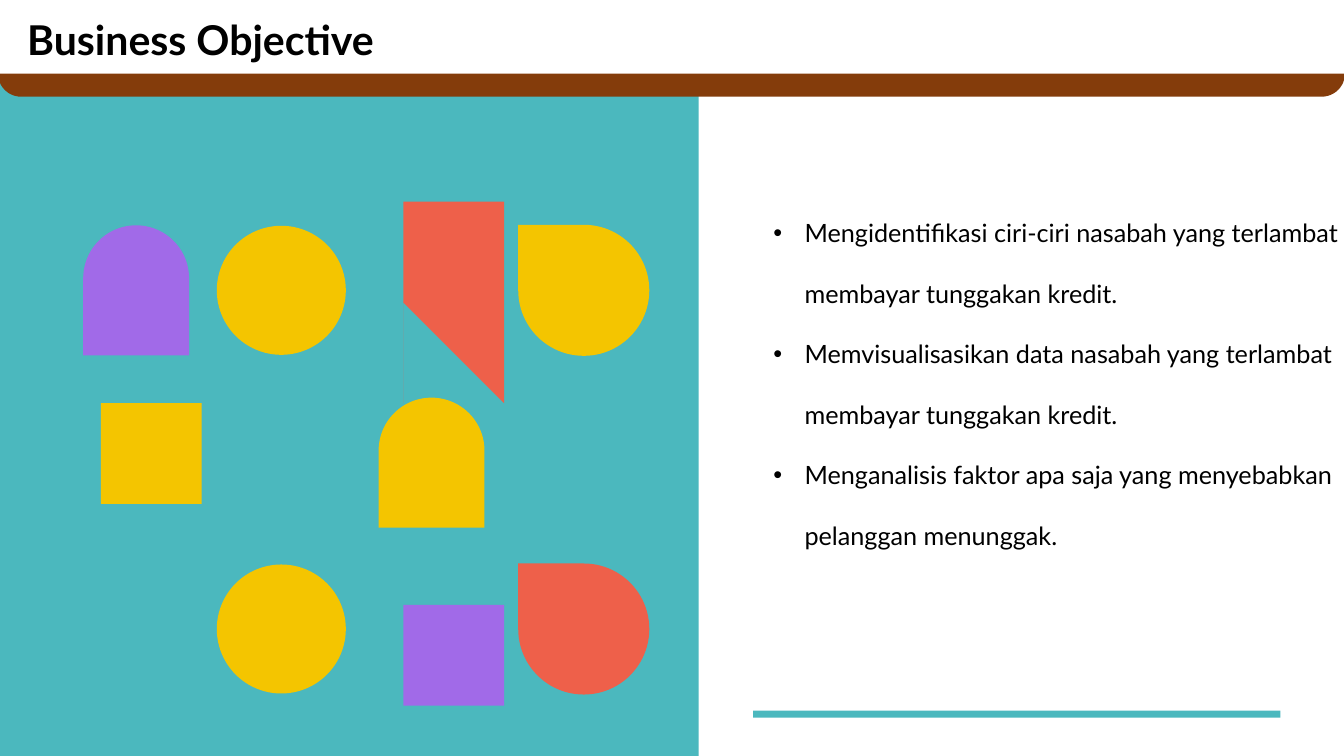
import pptx
import pptx.dml.color
import pptx.enum.shapes
import pptx.enum.text
import pptx.oxml
import pptx.oxml.ns
import pptx.util
from pptx.util import Inches

PRESET = pptx.enum.shapes.MSO_SHAPE
COLORS = {
    "teal": "4BB8BE",
    "purple": "A16AE8",
    "yellow": "F4C500",
    "coral": "EE604A",
    "brown": "843C0B",
    "white": "FFFFFF",
    "black": "000000",
}
FONT = "Lato"
COLUMN_CENTERS = (1.35, 2.79, 4.28, 5.79)
ROW_CENTERS = (2.88, 4.59, 6.24)
# row, column, kind, color
TILES = (
    (0, 0, "arch", "purple"),
    (0, 1, "circle", "yellow"),
    (0, 2, "ribbon", "coral"),
    (0, 3, "drop", "yellow"),
    (1, 0, "ribbon", "yellow"),
    (1, 2, "arch", "yellow"),
    (2, 1, "circle", "yellow"),
    (2, 2, "ribbon", "purple"),
    (2, 3, "drop", "coral"),
)
# preset, width, height, rotation
TILE_PRESETS = {
    "arch": (PRESET.ROUND_2_SAME_RECTANGLE, 1.05, 1.29, 0),
    "circle": (PRESET.OVAL, 1.28, 1.28, 0),
    "drop": (PRESET.TEAR, 1.3, 1.3, 270),
}
OBJECTIVES = (
    "Mengidentifikasi ciri-ciri nasabah yang terlambat membayar tunggakan kredit.",
    "Memvisualisasikan data nasabah yang terlambat membayar tunggakan kredit.",
    "Menganalisis faktor apa saja yang menyebabkan pelanggan menunggak.",
)


def rgb(color):
    return pptx.dml.color.RGBColor.from_string(COLORS[color])


def paint(shape, color):
    shape.shadow.inherit = False
    shape.fill.solid()
    shape.fill.fore_color.rgb = rgb(color)
    shape.line.fill.background()


def add_preset(slide, preset, left, top, width, height, color):
    shape = slide.shapes.add_shape(
        preset, Inches(left), Inches(top), Inches(width), Inches(height))
    paint(shape, color)
    return shape


def add_ribbon(slide, center_x, center_y, color):
    """Add a banner with a notch cut into its lower edge."""
    left, right = center_x - 0.58, center_x + 0.58
    top, bottom = center_y - 0.64, center_y + 0.64
    builder = slide.shapes.build_freeform(left, top, scale=Inches(1))
    builder.add_line_segments(
        [(right, top), (right, bottom), (center_x, bottom - 0.2), (left, bottom)])
    paint(builder.convert_to_shape(), color)


def add_tile(slide, row, column, kind, color):
    center_x, center_y = COLUMN_CENTERS[column], ROW_CENTERS[row]
    if kind == "ribbon":
        add_ribbon(slide, center_x, center_y, color)
        return
    preset, width, height, rotation = TILE_PRESETS[kind]
    shape = add_preset(slide, preset, center_x - width / 2,
                       center_y - height / 2, width, height, color)
    shape.rotation = rotation
    if kind == "arch":
        shape.adjustments[0] = 0.5


def prepare_frame(text_frame):
    text_frame.word_wrap = True
    text_frame.auto_size = pptx.enum.text.MSO_AUTO_SIZE.SHAPE_TO_FIT_TEXT
    text_frame.vertical_anchor = pptx.enum.text.MSO_ANCHOR.TOP
    text_frame.margin_left = text_frame.margin_right = 0
    text_frame.margin_top = text_frame.margin_bottom = 0


def format_paragraph(paragraph, size, bold=False):
    paragraph.alignment = pptx.enum.text.PP_ALIGN.LEFT
    for run in paragraph.runs:
        run.font.name = FONT
        run.font.size = pptx.util.Pt(size)
        run.font.bold = bold
        run.font.color.rgb = rgb("black")


def add_bullet(paragraph):
    properties = paragraph._p.get_or_add_pPr()
    properties.set("marL", str(Inches(0.51)))
    properties.set("indent", str(Inches(-0.31)))
    namespace = pptx.oxml.ns.nsdecls("a")
    for xml in (
        f'<a:buClr {namespace}><a:srgbClr val="{COLORS["black"]}"/></a:buClr>',
        f'<a:buFont {namespace} typeface="Arial"/>',
        f'<a:buChar {namespace} char="•"/>',
    ):
        properties.append(pptx.oxml.parse_xml(xml))


def add_objectives(slide):
    text_box = slide.shapes.add_textbox(
        Inches(7.47), Inches(1.86), Inches(5.99), Inches(3.64))
    text_frame = text_box.text_frame
    prepare_frame(text_frame)
    text_frame.text = "\n".join(OBJECTIVES)
    for paragraph in text_frame.paragraphs:
        paragraph.level = 1
        paragraph.line_spacing = 2.0
        format_paragraph(paragraph, 18)
        add_bullet(paragraph)


def add_header(slide):
    for height, color, rounding in ((0.96, "brown", 0.24), (0.73, "white", 0)):
        band = add_preset(slide, PRESET.ROUNDED_RECTANGLE,
                          -0.02, 0, 13.36, height, color)
        band.adjustments[0] = rounding


def set_title(slide, text):
    """Fill the title placeholder and bring it in front of the header."""
    title = slide.shapes.title
    title.left, title.top = Inches(0.27), Inches(0.14)
    title.width, title.height = Inches(10.83), Inches(0.49)
    prepare_frame(title.text_frame)
    title.text_frame.text = text
    format_paragraph(title.text_frame.paragraphs[0], 29.3, bold=True)
    slide.shapes._spTree.append(title._element)


def main():
    presentation = pptx.Presentation()
    presentation.slide_width = Inches(13.33)
    presentation.slide_height = Inches(7.5)
    slide = presentation.slides.add_slide(presentation.slide_layouts[5])
    add_preset(slide, PRESET.RECTANGLE, 0, 0, 6.93, 7.5, "teal")
    for tile in TILES:
        add_tile(slide, *tile)
    add_preset(slide, PRESET.RECTANGLE, 7.47, 7.05, 5.23, 0.07, "teal")
    add_objectives(slide)
    add_header(slide)
    set_title(slide, "Business Objective")
    presentation.save("out.pptx")


if __name__ == "__main__":
    main()
